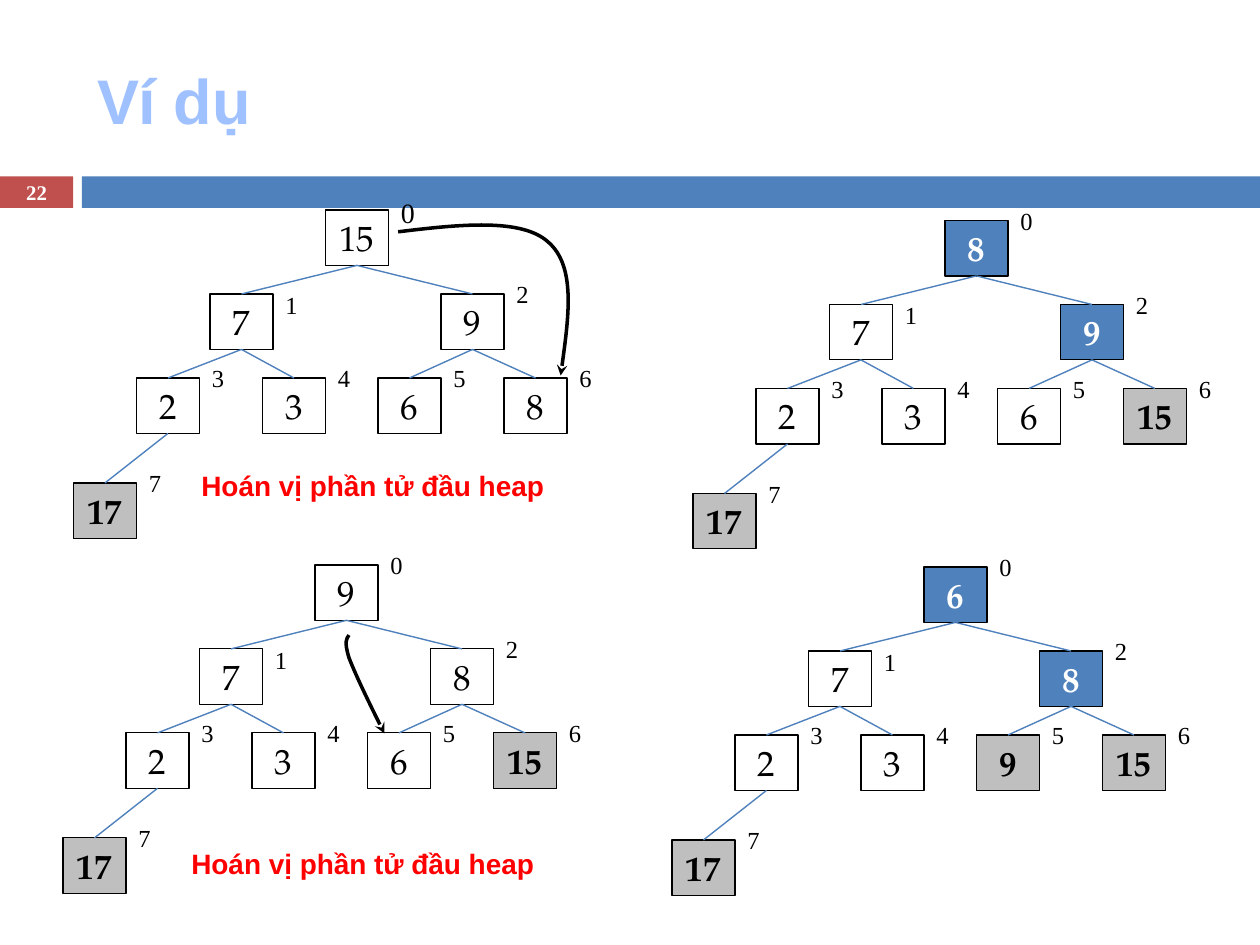
from lxml import etree
from pptx import Presentation
from pptx.dml.color import RGBColor
from pptx.enum.shapes import MSO_CONNECTOR, MSO_SHAPE
from pptx.enum.text import MSO_ANCHOR as ANCHOR, PP_ALIGN as ALIGN
from pptx.oxml.ns import qn
from pptx.util import Inches, Pt

COLORS = {
    "title": "A0C1FF", "number": "C0504D", "blue": "4F81BD",
    "grey": "BFBFBF", "black": "000000", "white": "FFFFFF", "red": "FF0000",
}
SERIF, SANS, NODE_FONT = "Times New Roman", "Arial", "TeX Gyre Pagella"
UNIT = Inches(1) / 12  # the trees sit on a grid of twelfths of an inch


def color(name):
    return RGBColor.from_string(COLORS[name])


def write(shape, text, size, font, ink, bold=False, align=ALIGN.LEFT, anchor=ANCHOR.TOP):
    frame = shape.text_frame
    frame.word_wrap = True
    frame.vertical_anchor = anchor
    para = frame.paragraphs[0]
    para.text = text
    para.alignment = align
    para.font.size, para.font.name, para.font.bold = Pt(size), font, bold
    para.font.color.rgb = color(ink)


deck = Presentation()
deck.slide_width, deck.slide_height = Inches(10), Inches(7.5)
page = deck.slides.add_slide(deck.slide_layouts[5])
shapes = page.shapes

# Header bars
for left, width, fill in [(0, 0.58, "number"), (0.65, 9.35, "blue")]:
    bar = shapes.add_shape(MSO_SHAPE.RECTANGLE, Inches(left), Inches(1.4), Inches(width), Inches(0.25))
    bar.shadow.inherit = False
    bar.fill.solid()
    bar.fill.fore_color.rgb = color(fill)
    bar.line.fill.background()

# Title and page number
title = shapes.title
title.left, title.top, title.width, title.height = map(Inches, (0.67, 0.25, 8.92, 1.08))
write(title, "Ví dụ", 36, SANS, "title", bold=True, anchor=ANCHOR.MIDDLE)
number = shapes.add_textbox(0, Inches(1.39), Inches(0.58), Inches(0.27))
write(number, "22", 11.9, SERIF, "white", bold=True, align=ALIGN.CENTER, anchor=ANCHOR.MIDDLE)

# Heap trees: node i has the parent (i - 1) // 2; places are (column, row)
PLACES = [(24, 0), (13, 8), (35, 8), (6, 16), (18, 16), (29, 16), (41, 16), (0, 26)]
TREES = [  # column, row, values, blue nodes, grey nodes, size of the root index
    (7, 20, [15, 7, 9, 2, 3, 6, 8, 17], [], [7], 16),
    (66, 21, [8, 7, 9, 2, 3, 6, 15, 17], [0, 2], [6, 7], 14),
    (6, 53.8, [9, 7, 8, 2, 3, 6, 15, 17], [], [6, 7], 14),
    (64, 54, [6, 7, 8, 2, 3, 9, 15, 17], [0, 2], [5, 6, 7], 14),
]
for tree_column, tree_row, values, blue_nodes, grey_nodes, root_size in TREES:
    boxes = []
    for index, (value, (column, row)) in enumerate(zip(values, PLACES)):
        left, top = int((tree_column + column) * UNIT), int((tree_row + row) * UNIT)
        box = shapes.add_shape(MSO_SHAPE.RECTANGLE, left, top, Inches(0.5), Inches(0.44))
        box.shadow.inherit = False
        box.line.color.rgb = color("black")
        box.line.width = Pt(0.75)
        marked = index in blue_nodes or index in grey_nodes
        if marked:
            box.fill.solid()
            box.fill.fore_color.rgb = color("blue" if index in blue_nodes else "grey")
        else:
            box.fill.background()
        ink = "white" if index in blue_nodes else "black"
        write(box, str(value), 20, NODE_FONT, ink, bold=marked, align=ALIGN.CENTER)
        boxes.append(box)

        # Index beside the node
        rise = 1 if index == 1 else 2
        label = shapes.add_textbox(int(left + 6 * UNIT), int(top - rise * UNIT), Inches(0.25), Inches(0.34))
        write(label, str(index), 14 if index else root_size, SERIF, "black")

        # Edge from the parent
        if index:
            edge = shapes.add_connector(MSO_CONNECTOR.STRAIGHT, 0, 0, 0, 0)
            edge.begin_connect(boxes[(index - 1) // 2], 2)
            edge.end_connect(box, 0)
            edge.line.color.rgb = color("blue")
            edge.line.width = Pt(0.8)
            etree.SubElement(edge._element.spPr, qn("a:effectLst"))

# Curved swap arrows: a start, then three points for each Bézier segment
ARROWS = [
    [(3.16, 1.84), (3.65, 1.78), (4.14, 1.73), (4.35, 1.92), (4.57, 2.11), (4.51, 2.55), (4.45, 2.98)],
    [(2.77, 5.04), (2.75, 5.07), (2.73, 5.09), (2.77, 5.22), (2.82, 5.35), (2.93, 5.58), (3.05, 5.82)],
]
for start, *points in ARROWS:
    builder = shapes.build_freeform(*start, scale=Inches(1))
    builder = shapes.build_freeform(*map(Inches, start))
    builder.add_line_segments([tuple(map(Inches, point)) for point in points], close=False)
    arrow = builder.convert_to_shape()
    arrow.shadow.inherit = False
    arrow.fill.background()
    arrow.line.color.rgb = color("black")
    arrow.line.width = Pt(2)
    etree.SubElement(arrow.line._get_or_add_ln(), qn("a:tailEnd"), type="stealth")
    steps = list(arrow._element.iter(qn("a:lnTo")))
    for first in range(0, len(steps), 3):
        curve = etree.Element(qn("a:cubicBezTo"))
        steps[first].addprevious(curve)
        for step in steps[first:first + 3]:
            curve.append(step[0])
            step.getparent().remove(step)

# Captions
for left, top, width in [(1.5, 3.67, 3.17), (1.42, 6.67, 3.25)]:
    caption = shapes.add_textbox(Inches(left), Inches(top), Inches(width), Inches(0.37))
    write(caption, "Hoán vị phần tử đầu heap", 16, SANS, "red", bold=True)

deck.save("out.pptx")
